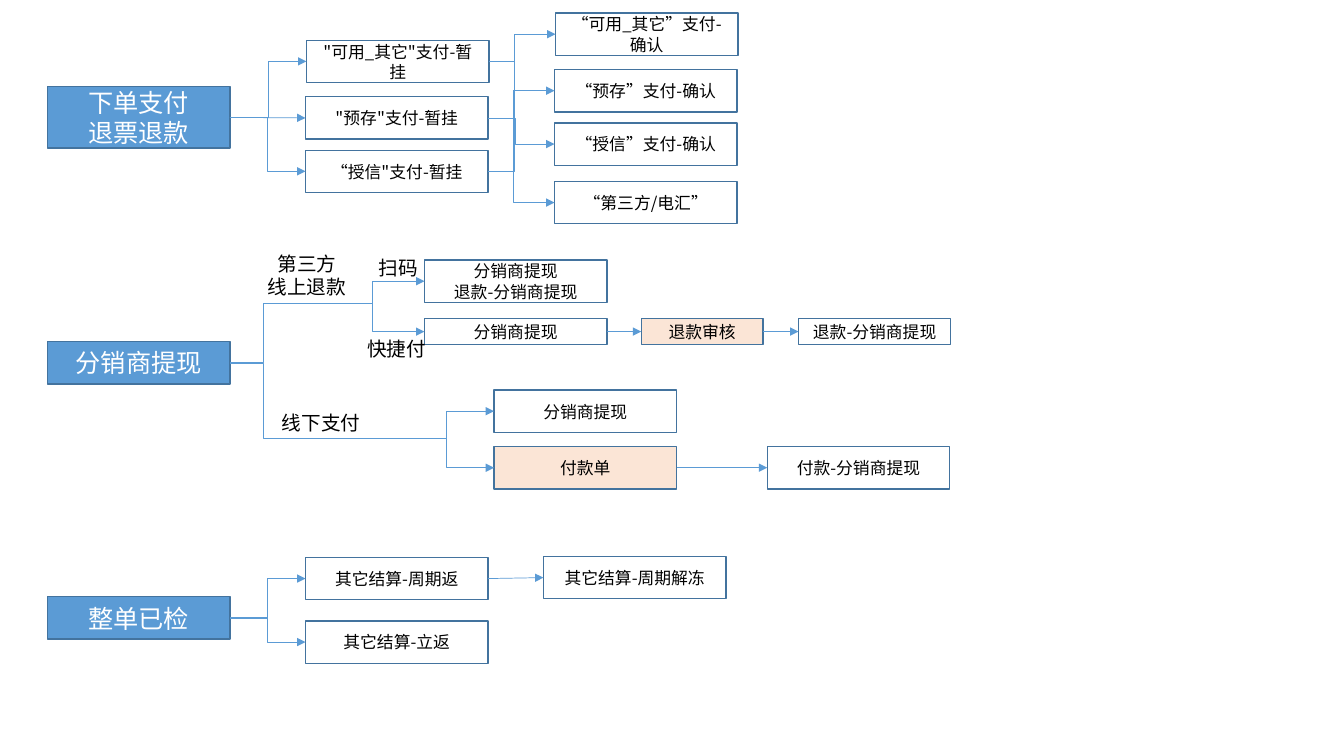
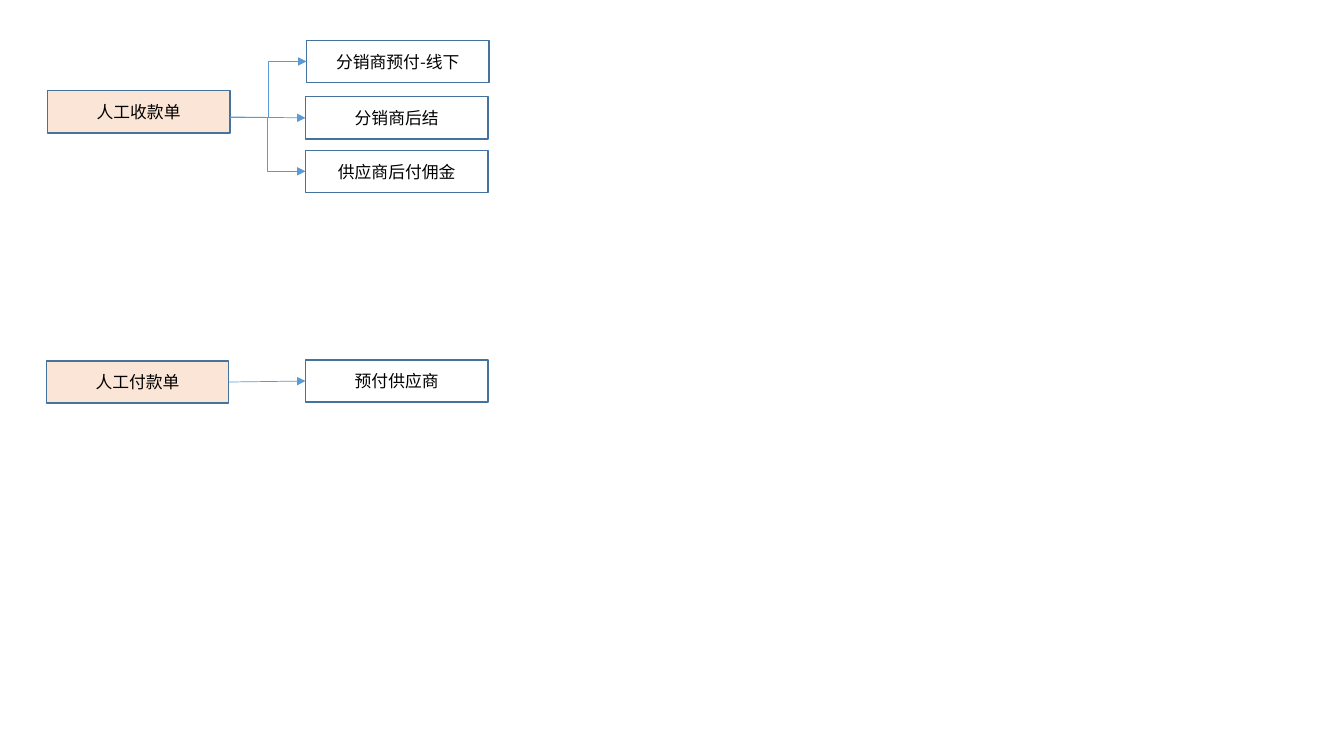
from lxml import etree
from pptx import Presentation
from pptx.dml.color import RGBColor
from pptx.enum import shapes as sh, text as tx
from pptx.oxml import ns
from pptx.util import Inches, Pt

FONT = "Noto Sans CJK SC"
COLORS = {
    "blue": "5B9BD5",
    "edge": "43739E",
    "peach": "FBE5D6",
    "white": "FFFFFF",
    "black": "000000",
}
WIDE, HIGH = 1.81, 0.42      # standard box
LEFT, MID = 0.47, 3.03       # first and second column
RIGHT = LEFT + WIDE          # right edge of the first column


def rgb(name):
    return RGBColor.from_string(COLORS[name])


# Text: one paragraph per line, centred
def write(shape, lines, size, color):
    frame = shape.text_frame
    frame.word_wrap = True
    frame.vertical_anchor = tx.MSO_ANCHOR.MIDDLE
    for i, line in enumerate(lines.split("\n")):
        para = frame.paragraphs[0] if i == 0 else frame.add_paragraph()
        para.alignment = tx.PP_ALIGN.CENTER
        run = para.add_run()
        run.text = line
        run.font.size = Pt(size)
        run.font.color.rgb = rgb(color)
        run.font.name = FONT
        props = run._r.get_or_add_rPr()
        etree.SubElement(props, ns.qn("a:ea")).set("typeface", FONT)


# Boxes and labels
def box(slide, x, y, lines, w=WIDE, h=HIGH, fill=None, size=12, color="black"):
    shape = slide.shapes.add_shape(
        sh.MSO_SHAPE.RECTANGLE, Inches(x), Inches(y), Inches(w), Inches(h))
    shape.shadow.inherit = False
    if fill:
        shape.fill.solid()
        shape.fill.fore_color.rgb = rgb(fill)
    else:
        shape.fill.background()
    shape.line.color.rgb = rgb("edge")
    shape.line.width = Pt(1)
    write(shape, lines, size, color)
    return shape


def root(slide, y, lines, h=HIGH):
    return box(slide, LEFT, y, lines, h=h, fill="blue", size=18, color="white")


def label(slide, x, y, lines, w=WIDE, h=HIGH):
    area = slide.shapes.add_textbox(Inches(x), Inches(y), Inches(w), Inches(h))
    write(area, lines, 14, "black")


# Connectors: an end is a box or an (x, y) point
def port(end, side):
    if isinstance(end, tuple):
        return Inches(end[0]), Inches(end[1])
    x = end.left + (end.width if side == "right" else 0)
    return x, end.top + end.height // 2


def link(slide, start, stop, turn=None, side="left", arrow=True):
    x0, y0 = port(start, "right")
    x1, y1 = port(stop, side)
    bent = abs(y1 - y0) > Inches(0.02)
    kind = sh.MSO_CONNECTOR.ELBOW if bent else sh.MSO_CONNECTOR.STRAIGHT
    line = slide.shapes.add_connector(kind, x0, y0, x1, y1)
    if not isinstance(start, tuple):
        line.begin_connect(start, 3)
    if not isinstance(stop, tuple):
        line.end_connect(stop, 3 if side == "right" else 1)
    line.line.color.rgb = rgb("blue")
    line.line.width = Pt(0.5)
    props = line.element.spPr
    if arrow:
        stroke = props.find(ns.qn("a:ln"))
        etree.SubElement(stroke, ns.qn("a:tailEnd")).set("type", "triangle")
    etree.SubElement(props, ns.qn("a:effectLst"))
    if turn is not None:
        ratio = round((Inches(turn) - x0) / (x1 - x0) * 100000)
        guides = props.find(ns.qn("a:prstGeom")).get_or_add_avLst()
        guide = etree.SubElement(guides, ns.qn("a:gd"))
        guide.set("name", "adj1")
        guide.set("fmla", f"val {ratio}")


def fan(slide, start, stops):
    for stop in stops:
        link(slide, start, stop)


def trio(slide, names):
    spots = [(MID + 0.01, 0.4), (MID, 0.96), (MID, 1.49)]
    return [box(slide, x, y, name) for (x, y), name in zip(spots, names)]


# Slide 1: order payment and ticket refund
def order(slide):
    start = root(slide, 0.86, "下单支付\n退票退款", 0.61)
    holds = trio(slide, ['"可用_其它"支付-暂挂', '"预存"支付-暂挂', '“授信"支付-暂挂'])
    fan(slide, start, holds)
    link(slide, holds[0], holds[2], turn=5.11, side="right", arrow=False)
    for x, y, name, turn in [
        (5.51, 0.13, "“可用_其它”支付-确认", 5.1),
        (5.5, 0.69, "“预存”支付-确认", 5.09),
        (5.5, 1.22, "“授信”支付-确认", 5.11),
        (5.5, 1.8, "“第三方/电汇”", 5.09),
    ]:
        link(slide, holds[1], box(slide, x, y, name), turn=turn)


# Slide 1: distributor withdrawal
def draw(slide):
    start = root(slide, 3.39, "分销商提现")
    web, desk = (3.18, 3.01), (3.95, 4.35)
    for fork in (web, desk):
        link(slide, start, fork, turn=2.61, arrow=False)
    label(slide, 2.14, 2.52, "第三方\n线上退款")
    label(slide, 2.28, 3.98, "线下支付")

    # Online refund
    slim = 0.26
    chat = box(slide, 4.21, 2.58, "分销商提现\n退款-分销商提现")
    ask = box(slide, 4.21, 3.16, "分销商提现", h=slim)
    check = box(slide, 6.36, 3.16, "退款审核", 1.21, slim, "peach")
    back = box(slide, 7.92, 3.16, "退款-分销商提现", 1.51, slim)
    fan(slide, web, [chat, ask])
    link(slide, ask, check)
    link(slide, check, back)
    label(slide, 3.52, 2.53, "扫码", 0.86, slim)
    label(slide, 3.33, 3.28, "快捷付", 1.21, 0.35)

    # Offline payment
    cash = box(slide, 4.9, 3.87, "分销商提现")
    bill = box(slide, 4.9, 4.43, "付款单", fill="peach")
    paid = box(slide, 7.61, 4.43, "付款-分销商提现")
    fan(slide, desk, [cash, bill])
    link(slide, bill, paid)


# Slide 1: fully checked orders
def settle(slide):
    start = root(slide, 5.92, "整单已检")
    cycle = box(slide, MID, 5.53, "其它结算-周期返")
    now = box(slide, MID, 6.16, "其它结算-立返")
    fan(slide, start, [cycle, now])
    link(slide, cycle, box(slide, 5.39, 5.52, "其它结算-周期解冻"))


# Slide 2: manual receipts and payments
def manual(slide):
    box(slide, LEFT, 0.9, "人工收款单", fill="peach")
    kinds = trio(slide, ["分销商预付-线下", "分销商后结", "供应商后付佣金"])
    fan(slide, (RIGHT, 1.16), kinds)
    pay = box(slide, 0.46, 3.58, "人工付款单", fill="peach")
    link(slide, pay, box(slide, MID, 3.57, "预付供应商"))


def main():
    deck = Presentation()
    deck.slide_width, deck.slide_height = Inches(13.33), Inches(7.5)
    for parts in [(order, draw, settle), (manual,)]:
        slide = deck.slides.add_slide(deck.slide_layouts[6])
        for part in parts:
            part(slide)
    deck.save("out.pptx")


if __name__ == "__main__":
    main()
